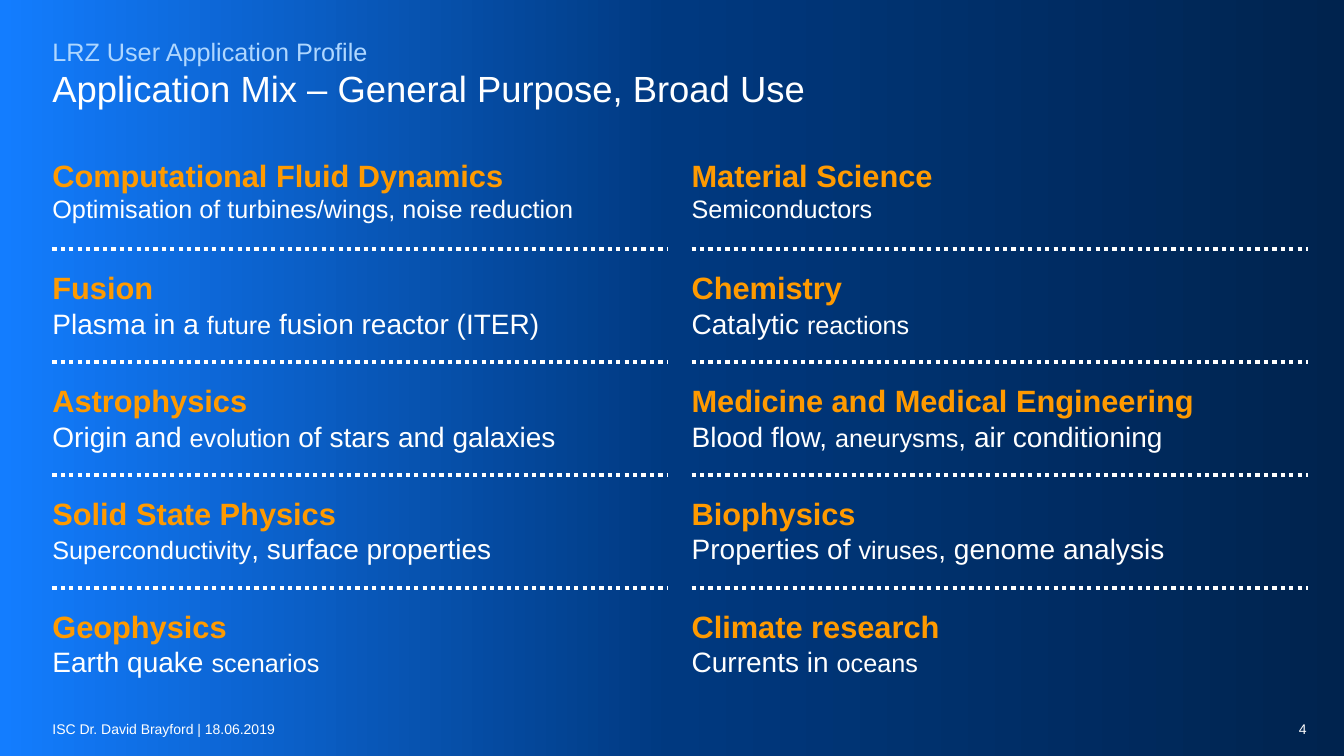
from copy import deepcopy

from lxml.etree import SubElement
from pptx import Presentation
from pptx.dml.color import RGBColor
from pptx.enum.dml import MSO_LINE
from pptx.enum.shapes import MSO_CONNECTOR
from pptx.enum.text import MSO_ANCHOR, PP_ALIGN
from pptx.oxml.ns import qn
from pptx.util import Inches, Pt

WHITE = RGBColor(0xFF, 0xFF, 0xFF)
ORANGE = RGBColor(0xFF, 0x9A, 0x00)
PALE_BLUE = RGBColor(0xAF, 0xD7, 0xFF)
GRADIENT = [
    (0, RGBColor(0x13, 0x7D, 0xFF)),
    (0.5, RGBColor(0x00, 0x39, 0x80)),
    (1, RGBColor(0x00, 0x23, 0x4E)),
]

KICKER = "LRZ User Application Profile"
TITLE = "Application Mix – General Purpose, Broad Use"
FOOTER = "ISC Dr. David Brayford | 18.06.2019"
PAGE_NUMBER = "4"

FIELDS = [
    [
        ("Computational Fluid Dynamics",
         [("Optimisation of turbines/wings, noise reduction", 18)]),
        ("Fusion",
         [("Plasma in a ", 20), ("future", 18), (" fusion reactor (ITER)", 20)]),
        ("Astrophysics",
         [("Origin and ", 20), ("evolution", 18), (" of stars and galaxies", 20)]),
        ("Solid State Physics",
         [("Superconductivity", 18), (", surface properties", 20)]),
        ("Geophysics",
         [("Earth quake ", 20), ("scenarios", 18)]),
    ],
    [
        ("Material Science",
         [("Semiconductors", 18)]),
        ("Chemistry",
         [("Catalytic ", 20), ("reactions", 18)]),
        ("Medicine and Medical Engineering",
         [("Blood flow, ", 20), ("aneurysms", 18), (", air conditioning", 20)]),
        ("Biophysics",
         [("Properties of ", 20), ("viruses", 18), (", genome analysis", 20)]),
        ("Climate research",
         [("Currents in ", 20), ("oceans", 18)]),
    ],
]

LEFT = 0.52
TOP = 1.55
COLUMN_PITCH = 6.34
ROW_PITCH = 1.12
COLUMN_WIDTH = 6.11
FIELD_HEIGHT = 0.71
SEPARATOR_OFFSET = 0.92


def add_frame(slide, left, top, width, height, anchor=MSO_ANCHOR.TOP, wrap=True):
    box = slide.shapes.add_textbox(
        Inches(left), Inches(top), Inches(width), Inches(height))
    frame = box.text_frame
    frame.margin_left = frame.margin_top = 0
    frame.margin_right = frame.margin_bottom = 0
    frame.word_wrap = wrap
    frame.vertical_anchor = anchor
    return frame


def add_run(paragraph, text, size, color=WHITE, bold=False):
    run = paragraph.add_run()
    run.text = text
    run.font.name = "Arial"
    run.font.size = Pt(size)
    run.font.bold = bold
    run.font.color.rgb = color


def add_field(slide, left, top, heading, details):
    frame = add_frame(slide, left, top, COLUMN_WIDTH, FIELD_HEIGHT)
    add_run(frame.paragraphs[0], heading, 22, ORANGE, True)
    paragraph = frame.add_paragraph()
    for text, size in details:
        add_run(paragraph, text, size)


def add_separator(slide, left, top):
    separator = slide.shapes.add_connector(
        MSO_CONNECTOR.STRAIGHT, Inches(left), Inches(top),
        Inches(left + COLUMN_WIDTH), Inches(top))
    separator.line.color.rgb = WHITE
    separator.line.width = Pt(3)
    separator.line.dash_style = MSO_LINE.ROUND_DOT
    SubElement(separator.element.spPr, qn("a:effectLst"))


def paint_background(slide):
    fill = slide.background.fill
    fill.gradient()
    fill.gradient_angle = 0
    stop_list = slide.element.find(".//" + qn("a:gsLst"))
    stop_list.append(deepcopy(stop_list[0]))
    for stop, (position, color) in zip(fill.gradient_stops, GRADIENT):
        stop.position = position
        stop.color.rgb = color


def main():
    presentation = Presentation()
    presentation.slide_width = Inches(13.33)
    presentation.slide_height = Inches(7.5)
    slide = presentation.slides.add_slide(presentation.slide_layouts[6])
    paint_background(slide)

    title = add_frame(slide, LEFT, 0.7, 11.46, 0.39, MSO_ANCHOR.BOTTOM).paragraphs[0]
    title.line_spacing = 0.9
    add_run(title, TITLE, 26)
    kicker = add_frame(slide, LEFT, 0.36, 11.46, 0.28).paragraphs[0]
    add_run(kicker, KICKER, 18, PALE_BLUE)

    for column, fields in enumerate(FIELDS):
        left = LEFT + column * COLUMN_PITCH
        for row, (heading, details) in enumerate(fields):
            top = TOP + row * ROW_PITCH
            add_field(slide, left, top, heading, details)
            if row < len(fields) - 1:
                add_separator(slide, left, top + SEPARATOR_OFFSET)

    number = add_frame(slide, 12.61, 7.15, 0.35, 0.17, MSO_ANCHOR.MIDDLE).paragraphs[0]
    number.alignment = PP_ALIGN.RIGHT
    add_run(number, PAGE_NUMBER, 10)
    footer = add_frame(slide, LEFT, 7.15, 2.27, 0.17, MSO_ANCHOR.MIDDLE, False)
    add_run(footer.paragraphs[0], FOOTER, 10)

    presentation.save("out.pptx")


if __name__ == "__main__":
    main()
